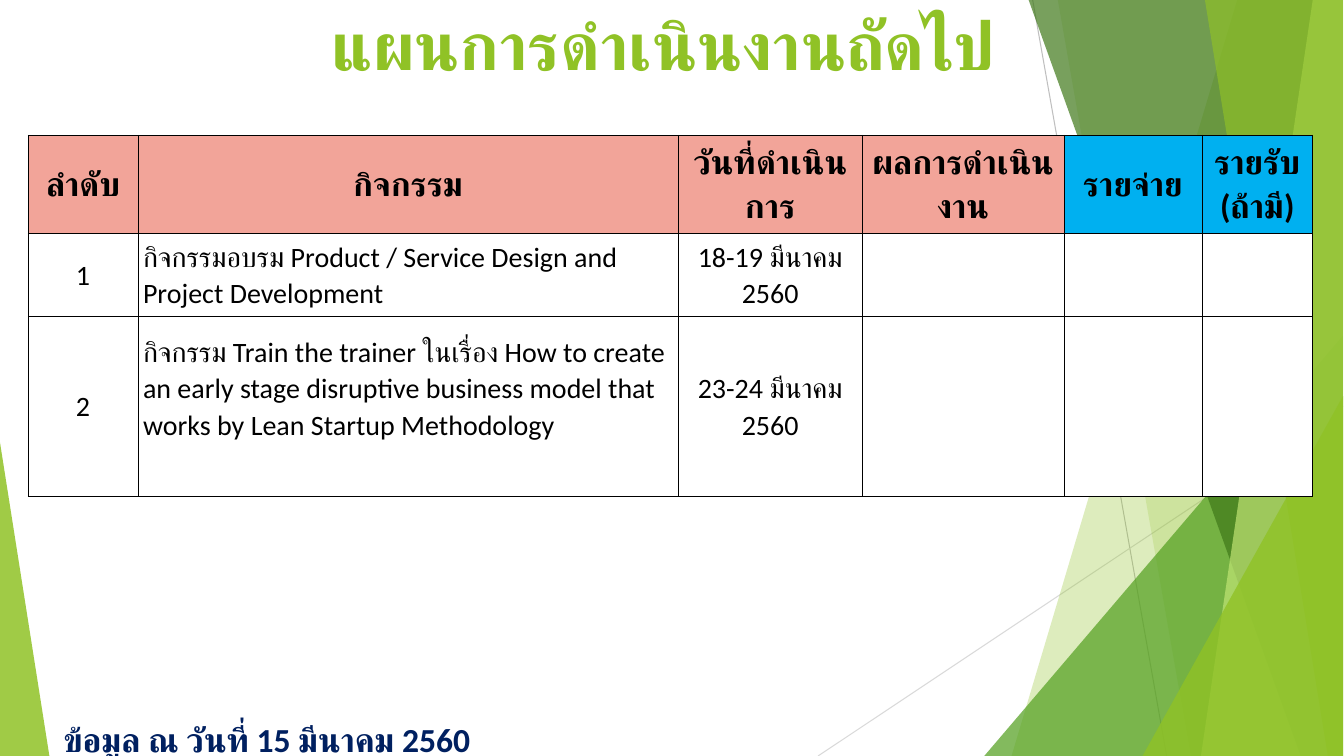
from lxml import etree
from pptx import Presentation, util as u
from pptx.dml.color import RGBColor
from pptx.enum import shapes, text
from pptx.oxml import ns

COLORS = {
    "lime": "90C226", "green": "54A021", "forest": "3F7819", "pale": "C0E474",
    "gray": "BFBFBF", "silver": "D9D9D9", "salmon": "F2A499", "sky": "00B0F0",
    "white": "FFFFFF", "black": "000000", "navy": "002060",
}
CENTER, LEFT = text.PP_ALIGN.CENTER, text.PP_ALIGN.LEFT


def color(name):
    return RGBColor.from_string(COLORS[name])


def write(frame, words, size=20, ink="black", bold=False, align=CENTER, spacing=1.07):
    frame.word_wrap = True
    for index, line in enumerate(words.split("\n")):
        para = frame.paragraphs[0] if index == 0 else frame.add_paragraph()
        para.alignment, para.line_spacing = align, spacing
        span = para.add_run()
        span.text = line
        span.font.name, span.font.size, span.font.bold = "Calibri", u.Pt(size), bold
        span.font.color.rgb = color(ink)
        # Thai letters take the complex-script font
        etree.SubElement(span.font._element, ns.qn("a:cs"), typeface="Calibri")


deck = Presentation()
deck.slide_width, deck.slide_height = u.Inches(13.34), u.Inches(7.5)
page = deck.slides.add_slide(deck.slide_layouts[6])

# Thin background lines
for ends, ink in [((10.25, 0, 11.58, 7.5), "gray"), ((13.33, 4.03, 8.12, 7.5), "silver")]:
    line = page.shapes.add_connector(shapes.MSO_CONNECTOR.STRAIGHT, *map(u.Inches, ends))
    line.line.color.rgb, line.line.width = color(ink), u.Pt(0.75)
    etree.SubElement(line._element.spPr, ns.qn("a:effectLst"))

# Facets: a panel is (top left x, bottom left x), a triangle is (box, apex)
facets = [
    ("panel", (12.28, 10.04), "lime", 30),
    ("panel", (10.5, 11.82), "lime", 20),
    ("triangle", ((9.77, 3.33, 3.56, 4.17), 1), "green", 72),
    ("panel", (10.21, 12.91), "forest", 70),
    ("panel", (13.03, 11.92), "pale", 70),
    ("panel", (11.96, 13.18), "lime", 65),
    ("triangle", ((11.34, 3.93, 1.99, 3.57), 1), "lime", 80),
    ("triangle", ((0, 4.39, 0.49, 3.11), 0), "lime", 85),
]
for kind, geometry, ink, opacity in facets:
    if kind == "panel":
        top, bottom = geometry
        corners = [(top, 0), (13.33, 0), (13.33, 7.5), (bottom, 7.5)]
        points = [(u.Inches(x), u.Inches(y)) for x, y in corners]
        builder = page.shapes.build_freeform(*points[0])
        builder.add_line_segments(points[1:], close=True)
        facet = builder.convert_to_shape()
    else:
        area, apex = geometry
        facet = page.shapes.add_shape(
            shapes.MSO_SHAPE.ISOSCELES_TRIANGLE, *map(u.Inches, area))
        facet.adjustments[0] = apex
    facet.shadow.inherit = False
    facet.line.fill.background()
    facet.fill.solid()
    facet.fill.fore_color.rgb = color(ink)
    tint = facet._element.spPr.find(".//" + ns.qn("a:srgbClr"))
    etree.SubElement(tint, ns.qn("a:alpha"), val=str(opacity * 1000))

# Plan table
rows = [
    ["ลำดับ", "กิจกรรม", "วันที่ดำเนินการ", "ผลการดำเนินงาน", "รายจ่าย", "รายรับ\n(ถ้ามี)"],
    ["1", "กิจกรรมอบรม Product / Service Design and Project Development",
     "18-19 มีนาคม 2560", "", "", ""],
    ["2", "กิจกรรม Train the trainer ในเรื่อง How to create an early stage disruptive "
     "business model that works by Lean Startup Methodology",
     "23-24 มีนาคม 2560", "", "", ""],
]
widths, heights = [1.09, 5.36, 1.83, 2, 1.37, 1.1], [0.86, 0.71, 1.78]
plan = page.shapes.add_table(
    len(rows), len(widths), *map(u.Inches, (0.28, 1.34, sum(widths), sum(heights)))).table
for column, width in zip(plan.columns, widths):
    column.width = u.Inches(width)
for row, height in zip(plan.rows, heights):
    row.height = u.Inches(height)

for r, row in enumerate(rows):
    for c, words in enumerate(row):
        cell, header = plan.cell(r, c), r == 0
        cell.vertical_anchor = text.MSO_ANCHOR.MIDDLE
        cell.margin_left = cell.margin_right = u.Inches(0.05)
        cell.margin_top = cell.margin_bottom = u.Inches(0.05)
        if words:
            write(cell.text_frame, words, size=24 if header else 20, bold=header,
                  align=LEFT if c == 1 and not header else CENTER)
        cell.fill.solid()
        cell.fill.fore_color.rgb = color(
            "white" if not header else "salmon" if c < 4 else "sky")
        for place, side in enumerate(["lnL", "lnR", "lnT", "lnB"]):
            border = etree.Element(ns.qn("a:" + side), w=str(u.Pt(0.45)))
            paint = etree.SubElement(border, ns.qn("a:solidFill"))
            etree.SubElement(paint, ns.qn("a:srgbClr"), val=COLORS["black"])
            cell._tc.get_or_add_tcPr().insert(place, border)
# The last activity sits one line above the middle of its row
plan.cell(2, 1).margin_bottom = u.Inches(0.41)

# Title and date note
title = page.shapes.add_textbox(*map(u.Inches, (0.77, 0, 11.63, 0.89)))
title.text_frame.vertical_anchor = text.MSO_ANCHOR.BOTTOM
write(title.text_frame, "แผนการดำเนินงานถัดไป", size=48, ink="lime", bold=True, spacing=0.9)
note = page.shapes.add_textbox(*map(u.Inches, (0.53, 7.08, 12.5, 0.5)))
write(note.text_frame, "ข้อมูล ณ วันที่ 15 มีนาคม 2560", size=24, ink="navy", bold=True,
      align=LEFT, spacing=1.0)

deck.save("out.pptx")
